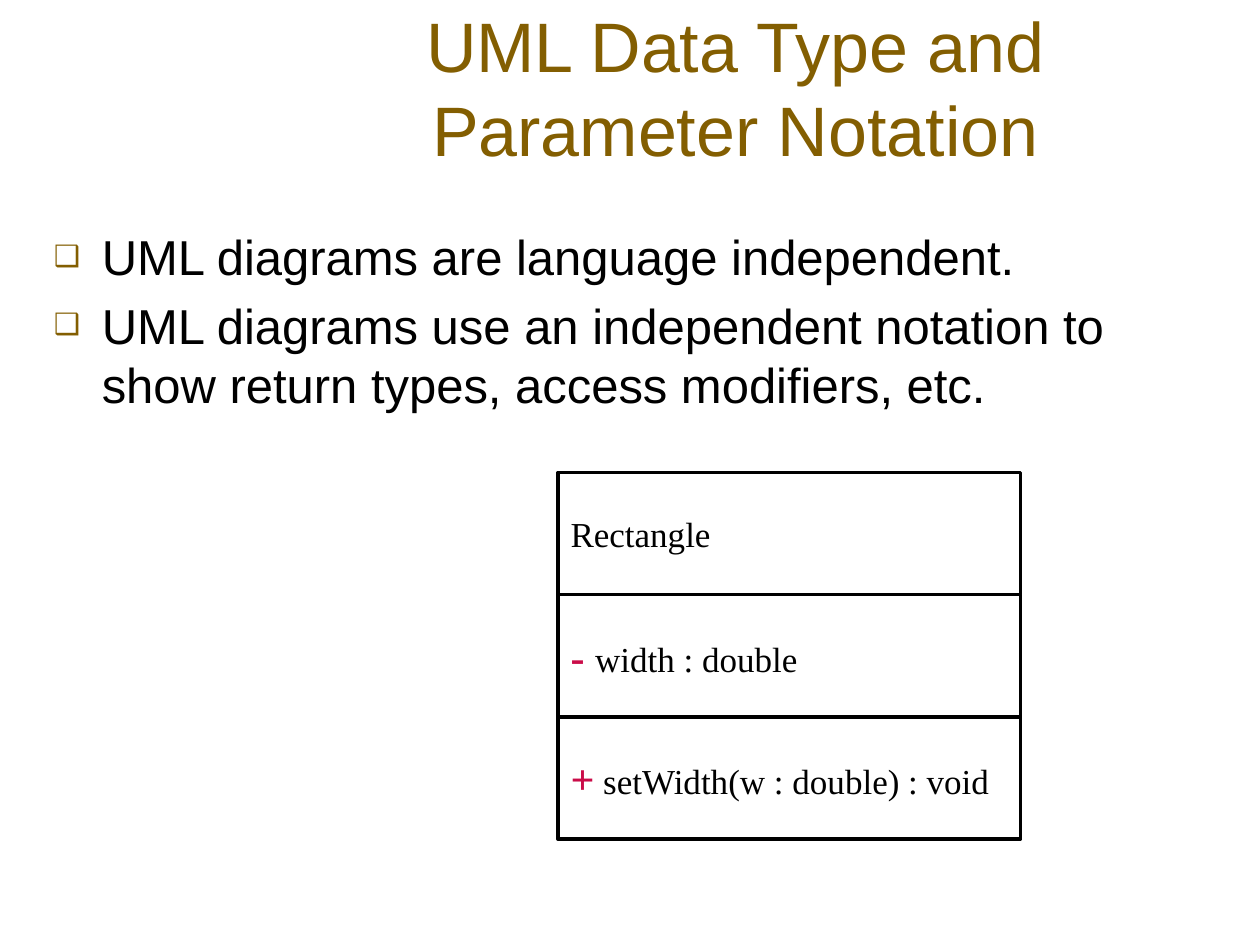
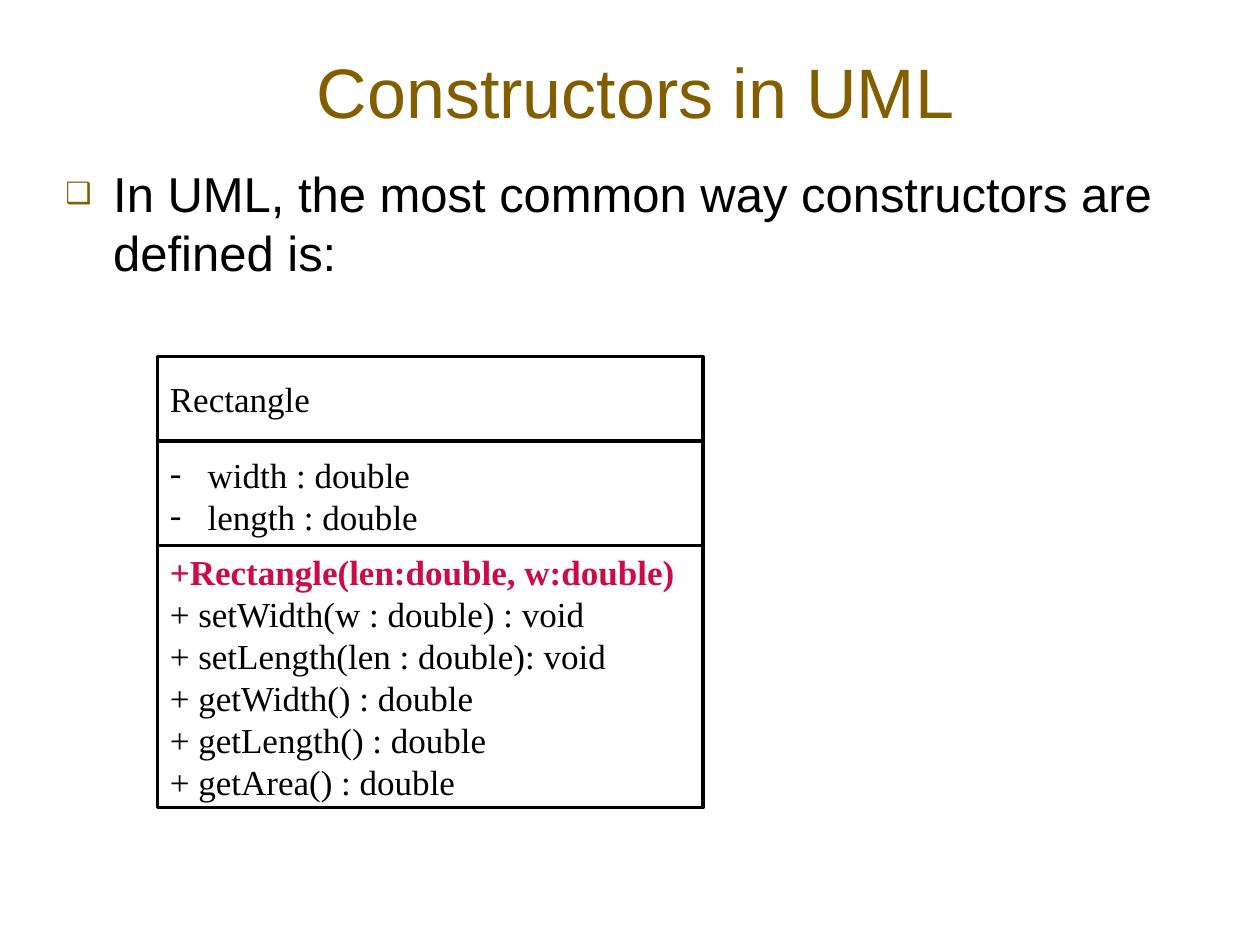
from pptx import Presentation
from pptx.dml.color import RGBColor as Rgb
from pptx.enum.shapes import MSO_SHAPE as Kind
from pptx.enum.text import MSO_ANCHOR as Anchor, PP_ALIGN as Align
from pptx.oxml.ns import qn
from pptx.util import Pt
from lxml.etree import SubElement as Sub

PX = 9144
GOLD, RED, BLACK, WHITE = "835E01", "CA0C48", "000000", "FFFFFF"
SANS, SERIF = "Arial", "Times New Roman"


def tint(code):
    return Rgb.from_string(code)


def scale(*nums):
    return [num * PX for num in nums]


def mark(para, sign, gap, face, hue=None, size=None):
    props = para._p.get_or_add_pPr()
    props.set("marL", str(gap * PX))
    props.set("indent", str(-gap * PX))
    if hue:
        Sub(Sub(props, qn("a:buClr")), qn("a:srgbClr"), val=hue)
    if size:
        Sub(props, qn("a:buSzPct"), val=str(size * 1000))
    Sub(props, qn("a:buFont"), typeface=face)
    Sub(props, qn("a:buChar"), char=sign)


def write(frame, paras, size=20, face=SERIF, hue=BLACK, align=Align.LEFT,
          anchor=Anchor.MIDDLE, before=0, bullet=None):
    frame.word_wrap = True
    frame.vertical_anchor = anchor
    for pos, runs in enumerate(paras):
        para = frame.add_paragraph() if pos else frame.paragraphs[0]
        para.alignment = align
        if pos and before:
            para.space_before = Pt(before)
        if bullet:
            mark(para, **bullet)
        for part in [runs] if isinstance(runs, str) else runs:
            text, look = (part, {}) if isinstance(part, str) else part
            run = para.add_run()
            run.text = text
            font = run.font
            font.name = face
            font.size = Pt(look.get("size", size))
            font.bold = look.get("bold", False)
            font.color.rgb = tint(look.get("hue", hue))


def title(slide, text, left, top):
    box = slide.shapes.add_textbox(*scale(left, top, 733, 78))
    write(box.text_frame, [text], size=40, face=SANS, hue=GOLD, align=Align.CENTER)


def points(slide, lines, *area):
    box = slide.shapes.add_textbox(*scale(*area))
    write(box.text_frame, lines, size=28, face=SANS, anchor=Anchor.TOP, before=5.6,
          bullet=dict(sign="❑", gap=38, face=SANS, hue=GOLD, size=60))


def cell(group, area, paras, **look):
    box = group.shapes.add_shape(Kind.RECTANGLE, *scale(*area))
    box.shadow.inherit = False
    box.fill.solid()
    box.fill.fore_color.rgb = tint(WHITE)
    box.line.color.rgb = tint(BLACK)
    box.line.width = Pt(2)
    write(box.text_frame, paras, **look)


def types(slide):
    title(slide, "UML Data Type and Parameter Notation", 217, 30)
    points(slide, [
        "UML diagrams are language independent.",
        "UML diagrams use an independent notation to show return types, "
        "access modifiers, etc.",
    ], 33, 175, 907, 194)
    sign = dict(size=24, bold=True, hue=RED)
    rows = ["Rectangle",
            [("- ", sign), "width : double"],
            [("+", sign), " setWidth(w : double) : void"]]
    group = slide.shapes.add_group_shape()
    high = 97
    for pos, row in enumerate(rows):
        cell(group, (443, 375 + pos * high, 367, high), [row])


def makers(slide):
    title(slide, "Constructors in UML", 138, 33)
    points(slide, ["In UML, the most common way constructors are defined is:"],
           42, 125, 925, 545)
    group = slide.shapes.add_group_shape()
    left, wide = 125, 433
    cell(group, (left, 283, wide, 67), ["Rectangle"])
    cell(group, (left, 350, wide, 86), ["width : double", "length : double"],
         bullet=dict(sign="-", gap=30, face=SERIF))
    cell(group, (left, 433, wide, 208), [
        [("+Rectangle(len:double, w:double)", dict(bold=True, hue=RED))],
        "+ setWidth(w : double) : void",
        "+ setLength(len : double): void",
        "+ getWidth() : double",
        "+ getLength() : double",
        "+ getArea() : double",
    ])


def main():
    deck = Presentation()
    deck.slide_width, deck.slide_height = scale(1000, 750)
    for build in (types, makers):
        build(deck.slides.add_slide(deck.slide_layouts[6]))
    deck.save("out.pptx")


if __name__ == "__main__":
    main()
